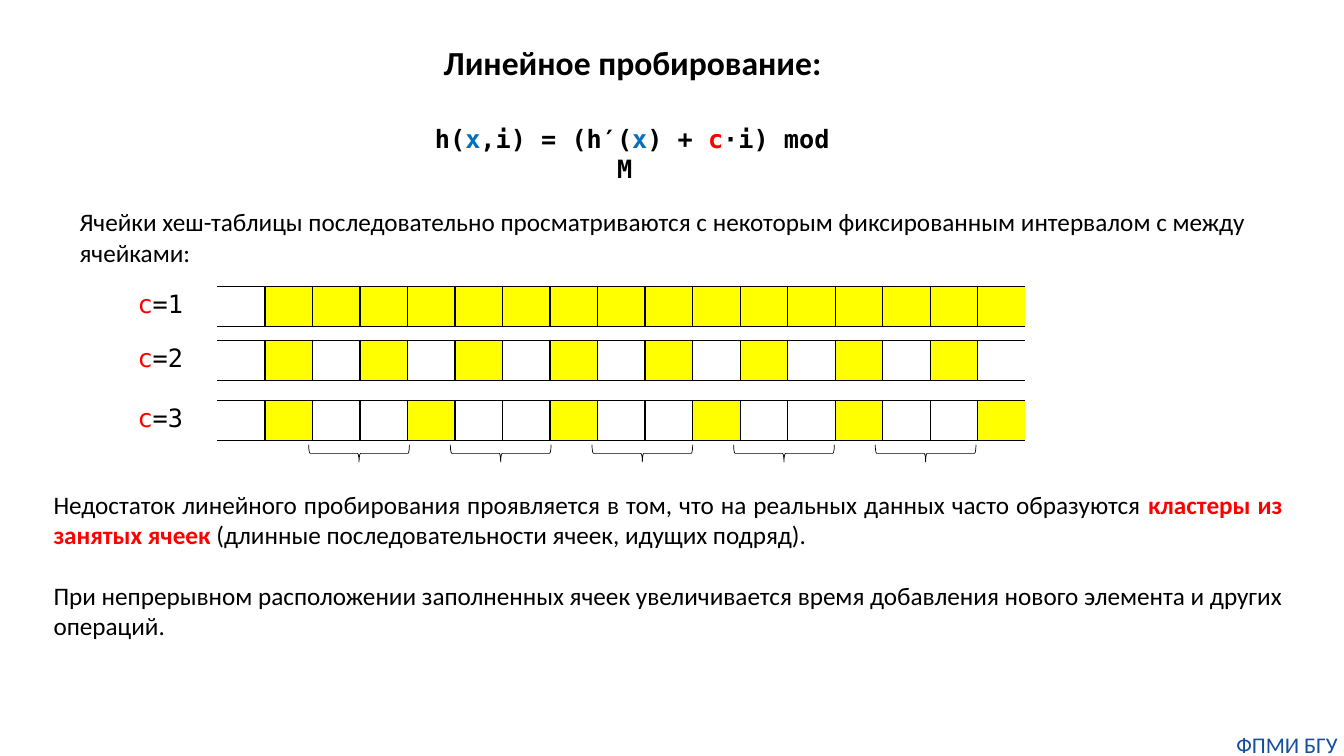
from dataclasses import dataclass
from lxml.etree import SubElement
from pptx import Presentation
from pptx.dml.color import RGBColor
from pptx.enum.shapes import MSO_SHAPE as Shape
from pptx.enum.text import MSO_ANCHOR as Anchor, MSO_AUTO_SIZE as AutoSize, PP_ALIGN as Align
from pptx.oxml.ns import qn
from pptx.util import Inches, Pt


@dataclass(frozen=True)
class Theme:
    text: str = "000000"
    accent: str = "FF0000"
    key: str = "0070C0"
    probed: str = "FFFF00"
    free: str = "FFFFFF"
    footer: str = "144E9D"
    sans: str = "Calibri"
    mono: str = "DejaVu Sans Mono"
    title_size: int = 24
    body_size: int = 18
    footer_size: int = 16
    border: float = 1
    brace: float = 0.5


@dataclass(frozen=True)
class Box:
    left: float
    top: float
    width: float
    height: float

    def share(self, left, top, width, height):
        return Box(self.left + left * self.width, self.top + top * self.height,
                   width * self.width, height * self.height)

    def place(self):
        return [round(length) for length in (self.left, self.top, self.width, self.height)]


THEME = Theme()
CELLS = 17


def write(paragraph, runs, font, size, align=Align.LEFT):
    paragraph.alignment = align
    for words, color, bold in runs:
        run = paragraph.add_run()
        run.text = words
        run.font.name = font
        run.font.size = Pt(size)
        run.font.bold = bold
        run.font.color.rgb = RGBColor.from_string(color)


def add_line(slide, box, runs, font, size, align=Align.LEFT, inset=True, wrap=True):
    frame = slide.shapes.add_textbox(*box.place()).text_frame
    frame.word_wrap = wrap
    if not inset:
        frame.margin_left = frame.margin_right = frame.margin_top = frame.margin_bottom = 0
    write(frame.paragraphs[0], runs, font, size, align)


def fill_placeholder(holder, box, paragraphs, size, align):
    holder.left, holder.top, holder.width, holder.height = box.place()
    frame = holder.text_frame
    frame.auto_size = AutoSize.NONE
    frame.word_wrap = True
    frame.vertical_anchor = Anchor.TOP
    for index, runs in enumerate(paragraphs):
        paragraph = frame.add_paragraph() if index else frame.paragraphs[0]
        properties = paragraph._p.get_or_add_pPr()
        properties.set("marL", "0")
        properties.set("indent", "0")
        SubElement(properties, qn("a:buNone"))
        paragraph.space_before = Pt(22 if index else 0)
        write(paragraph, runs, THEME.sans, size, align)


def add_formula(slide, box):
    terms = [("h(", THEME.text), ("x", THEME.key), (",i) = (h′(", THEME.text),
             ("x", THEME.key), (") + ", THEME.text), ("c", THEME.accent),
             ("·i) mod M ", THEME.text)]
    add_line(slide, box, [(words, color, True) for words, color in terms],
             THEME.mono, THEME.body_size, Align.CENTER)


def style_cell(cell, column, probed):
    cell.margin_left = cell.margin_right = cell.margin_top = cell.margin_bottom = 0
    properties = cell._tc.get_or_add_tcPr()
    open_side = {0: "a:lnL", CELLS - 1: "a:lnR"}.get(column)
    for side in ("a:lnL", "a:lnR", "a:lnT", "a:lnB"):
        border = SubElement(properties, qn(side), w=str(Pt(THEME.border)))
        if side == open_side:
            SubElement(border, qn("a:noFill"))
        else:
            ink = SubElement(border, qn("a:solidFill"))
            SubElement(ink, qn("a:srgbClr"), val=THEME.text)
    cell.fill.solid()
    cell.fill.fore_color.rgb = RGBColor.from_string(THEME.probed if probed else THEME.free)


def add_probe_row(slide, box, step):
    add_line(slide, box.share(0, -0.07, 0.09, 1),
             [("с", THEME.accent, False), (f"={step}", THEME.text, False)],
             THEME.mono, THEME.body_size)
    cells_box = box.share(0.1, 0, 0.9, 1)
    table = slide.shapes.add_table(1, CELLS, *cells_box.place()).table
    table.first_row = table.horz_banding = False
    for column in range(CELLS):
        table.columns[column].width = round(cells_box.width / CELLS)
        probed = column > 0 and (column - 1) % step == 0
        style_cell(table.cell(0, column), column, probed)
    return cells_box


def add_braces(slide, cells_box, count):
    column = cells_box.width / CELLS
    thickness, span = 0.43 * cells_box.height, 2.12 * column
    middle = cells_box.top + 1.32 * cells_box.height
    for index in range(count):
        center = cells_box.left + 2.98 * column * (index + 1)
        box = Box(center - thickness / 2, middle - span / 2, thickness, span)
        brace = slide.shapes.add_shape(Shape.LEFT_BRACE, *box.place())
        brace.rotation = 270
        brace.shadow.inherit = False
        brace.fill.background()
        brace.line.color.rgb = RGBColor.from_string(THEME.text)
        brace.line.width = Pt(THEME.brace)


def add_probe_rows(slide, box):
    for step, top in ((1, 0), (2, 0.35), (3, 0.74)):
        cells_box = add_probe_row(slide, box.share(0, top, 1, 0.26), step)
    add_braces(slide, cells_box, 5)


def build_probing_slide(deck, page):
    slide = deck.slides.add_slide(deck.slide_layouts[1])
    title, drawbacks = slide.placeholders
    grid = Box(page.left, page.top, page.width / 100, page.height / 100)
    fill_placeholder(title, grid.share(30.53, 4.93, 33.08, 6.67),
                     [[("Линейное пробирование:", THEME.text, True)]],
                     THEME.title_size, Align.CENTER)
    add_formula(slide, grid.share(31.21, 15.6, 31.66, 5.33))
    add_line(slide, grid.share(5.18, 26.67, 88.22, 9.47),
             [("Ячейки хеш-таблицы последовательно просматриваются с некоторым "
               "фиксированным интервалом c между ячейками:", THEME.text, False)],
             THEME.sans, THEME.body_size, Align.JUSTIFY)
    add_probe_rows(slide, grid.share(9.5, 37.87, 66.8, 20.4))
    fill_placeholder(drawbacks, grid.share(3.23, 64, 92.95, 21.6), [
        [("Недостаток линейного пробирования проявляется в том, что на реальных данных "
          "часто образуются ", THEME.text, False),
         ("кластеры из занятых ячеек ", THEME.accent, True),
         ("(длинные последовательности ячеек, идущих подряд).", THEME.text, False)],
        [("При непрерывном расположении заполненных ячеек увеличивается время добавления "
          "нового элемента и других операций.", THEME.text, False)],
    ], THEME.body_size, Align.JUSTIFY)
    add_line(slide, grid.share(91.52, 96.67, 8.48, 3.6),
             [("ФПМИ БГУ", THEME.footer, False)],
             THEME.sans, THEME.footer_size, Align.CENTER, inset=False, wrap=False)


def main():
    deck = Presentation()
    deck.slide_width, deck.slide_height = Inches(13.33), Inches(7.5)
    build_probing_slide(deck, Box(0, 0, deck.slide_width, deck.slide_height))
    deck.save("out.pptx")


if __name__ == "__main__":
    main()
